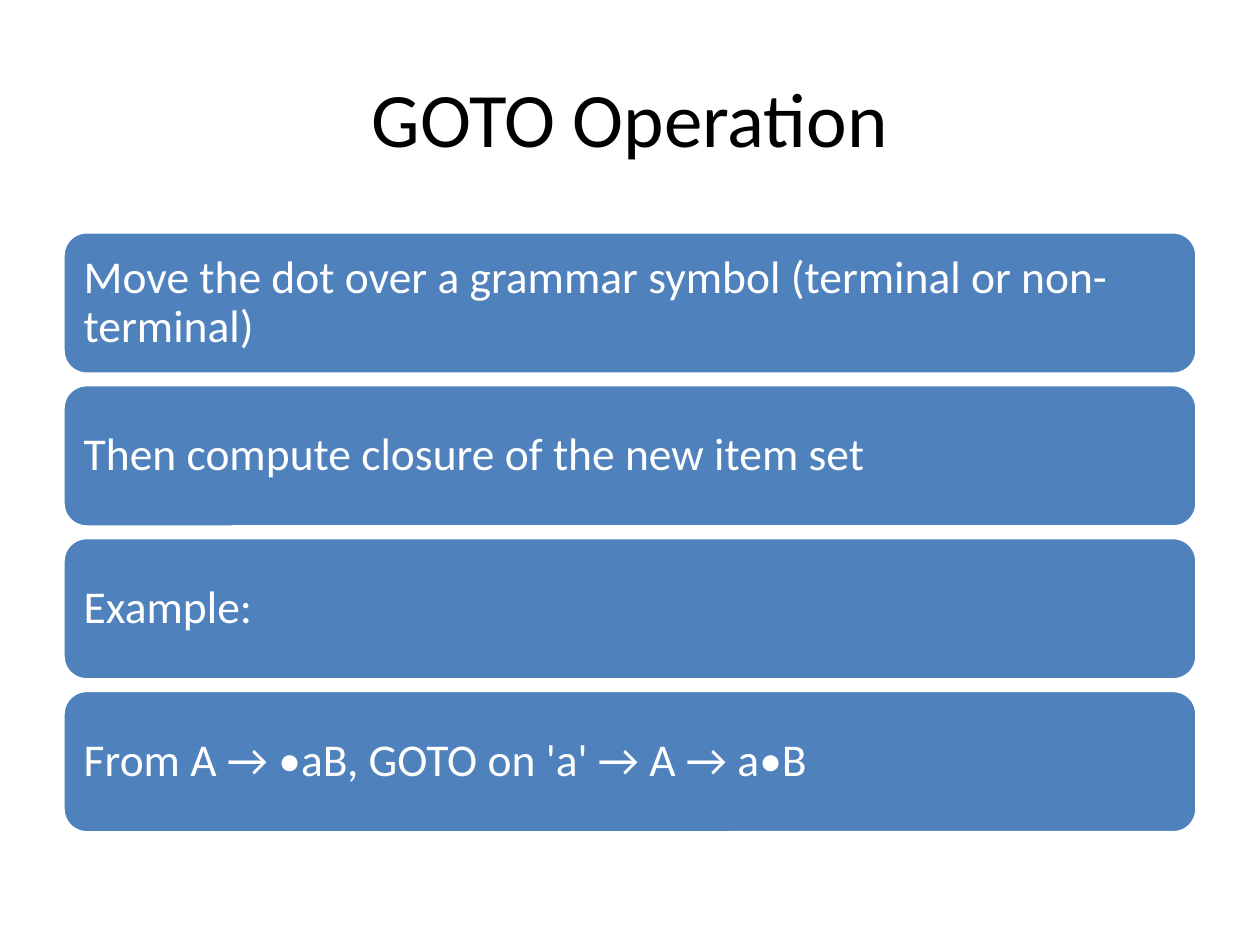
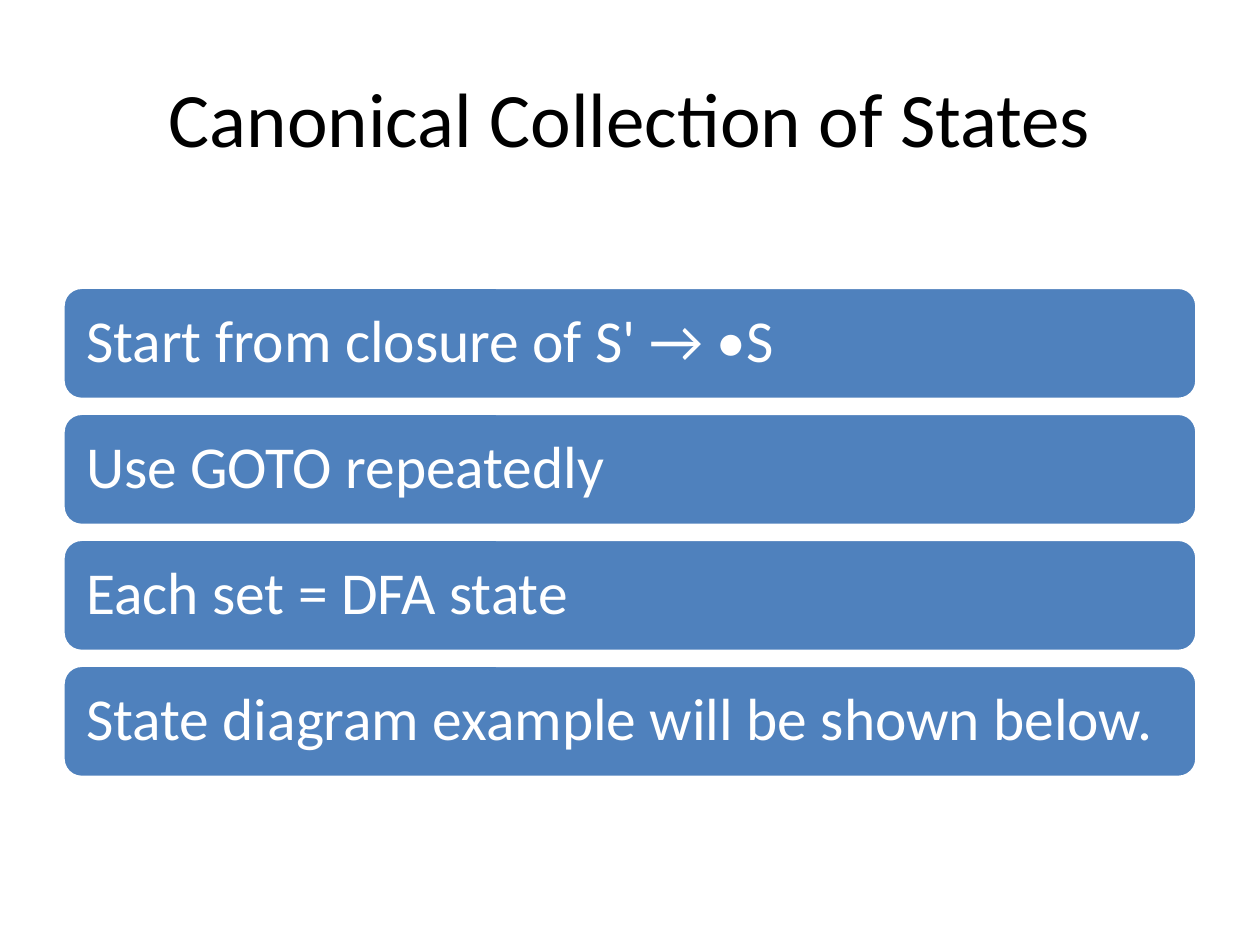
from dataclasses import dataclass

from pptx import Presentation
from pptx.dml.color import RGBColor
from pptx.enum.shapes import MSO_SHAPE
from pptx.enum.text import MSO_ANCHOR, PP_ALIGN
from pptx.slide import Slide
from pptx.text.text import TextFrame
from pptx.util import Inches, Pt

# Shared style
FONT = "Calibri"
BLACK = RGBColor(0x00, 0x00, 0x00)
WHITE = RGBColor(0xFF, 0xFF, 0xFF)
BLUE = RGBColor(0x4F, 0x81, 0xBD)
LEFT = Inches(0.5)
WIDTH = Inches(9)
TITLE_SIZE = 44


@dataclass(frozen=True)
class BarStack:
    """Equal bars spread evenly from first_top to last_top, in inches."""
    first_top: float
    last_top: float
    height: float
    margin: float
    font_size: int


@dataclass(frozen=True)
class Topic:
    title: str
    points: tuple[str, ...]
    stack: BarStack


TOPICS = (
    Topic(
        "GOTO Operation",
        (
            "Move the dot over a grammar symbol (terminal or non-terminal)",
            "Then compute closure of the new item set",
            "Example:",
            "From A → •aB, GOTO on 'a' → A → a•B",
        ),
        BarStack(1.84, 5.48, 1.13, 0.11, 26),
    ),
    Topic(
        "Canonical Collection of States",
        (
            "Start from closure of S' → •S",
            "Use GOTO repeatedly",
            "Each set = DFA state",
            "State diagram example will be shown below.",
        ),
        BarStack(2.28, 5.28, 0.89, 0.14, 34),
    ),
)


def write(frame: TextFrame, text: str, size: int, color: RGBColor,
          alignment: PP_ALIGN) -> None:
    frame.text = text
    frame.word_wrap = True
    frame.vertical_anchor = MSO_ANCHOR.MIDDLE
    paragraph = frame.paragraphs[0]
    paragraph.alignment = alignment
    font = paragraph.runs[0].font
    font.name = FONT
    font.size = Pt(size)
    font.color.rgb = color


def add_title(slide: Slide, text: str) -> None:
    title = slide.shapes.add_textbox(LEFT, Inches(0.3), WIDTH, Inches(1.25))
    write(title.text_frame, text, TITLE_SIZE, BLACK, PP_ALIGN.CENTER)


def add_bar(slide: Slide, text: str, top: float, stack: BarStack) -> None:
    bar = slide.shapes.add_shape(MSO_SHAPE.ROUNDED_RECTANGLE, LEFT,
                                 Inches(top), WIDTH, Inches(stack.height))
    bar.shadow.inherit = False
    bar.fill.solid()
    bar.fill.fore_color.rgb = BLUE
    bar.line.color.rgb = WHITE
    bar.line.width = Pt(2)

    frame = bar.text_frame
    frame.margin_left = frame.margin_right = Inches(stack.margin)
    frame.margin_top = frame.margin_bottom = Inches(stack.margin)
    write(frame, text, stack.font_size, WHITE, PP_ALIGN.LEFT)
    frame.paragraphs[0].line_spacing = 0.9


def add_bars(slide: Slide, topic: Topic) -> None:
    stack = topic.stack
    step = (stack.last_top - stack.first_top) / (len(topic.points) - 1)
    for index, point in enumerate(topic.points):
        add_bar(slide, point, stack.first_top + index * step, stack)


def main() -> None:
    deck = Presentation()
    deck.slide_width = Inches(10)
    deck.slide_height = Inches(7.5)
    blank = deck.slide_layouts[6]

    # One slide per topic
    for topic in TOPICS:
        slide = deck.slides.add_slide(blank)
        slide.background.fill.solid()
        slide.background.fill.fore_color.rgb = WHITE
        add_title(slide, topic.title)
        add_bars(slide, topic)

    deck.save("out.pptx")


if __name__ == "__main__":
    main()
